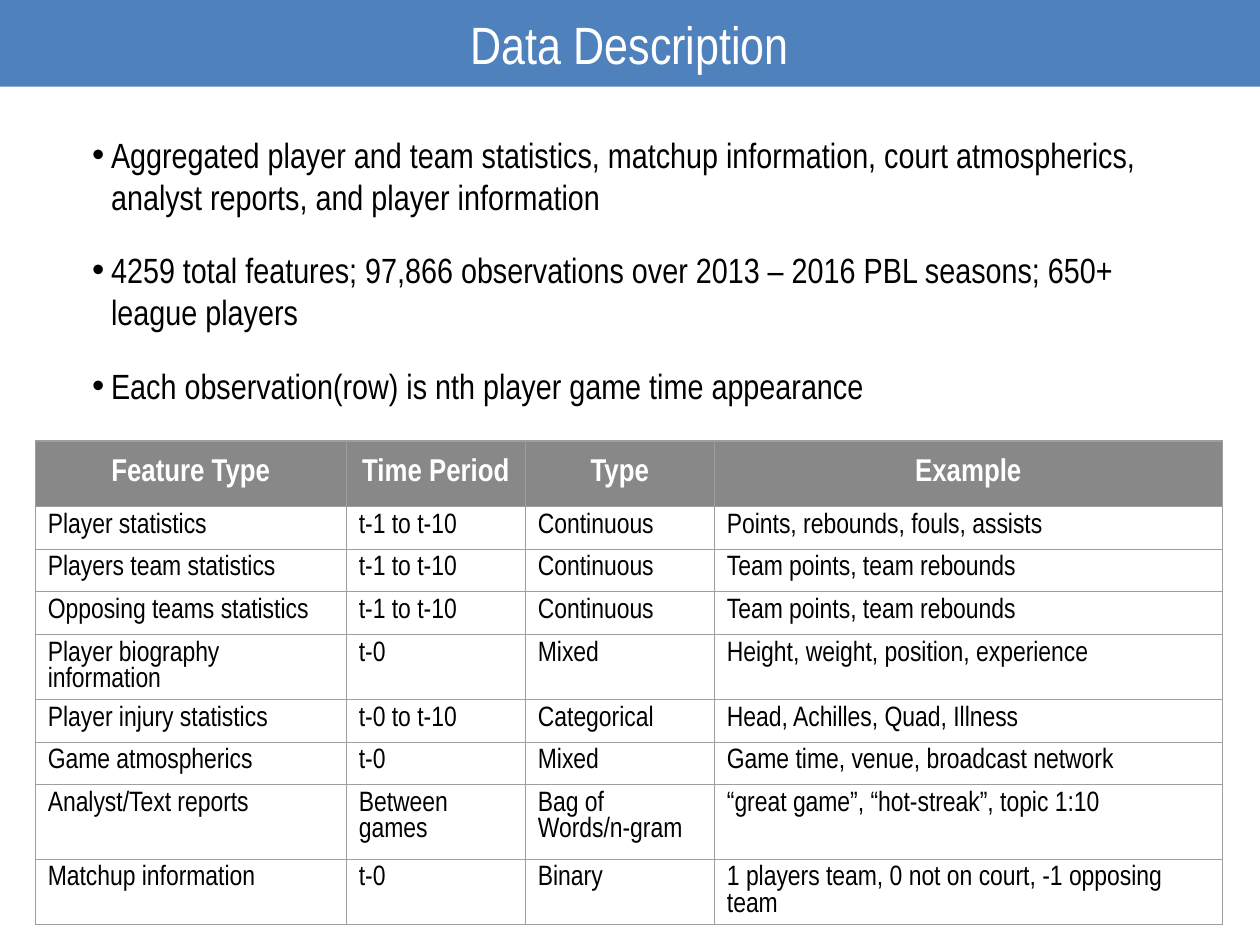
from lxml.etree import SubElement
from pptx import Presentation
from pptx.dml.color import RGBColor
from pptx.enum.shapes import MSO_SHAPE
from pptx.enum.text import MSO_ANCHOR, PP_ALIGN
from pptx.oxml.ns import qn
from pptx.util import Cm, Pt

BLUE = RGBColor(0x4F, 0x81, 0xBD)
GRAY = RGBColor(0x88, 0x88, 0x88)
BORDER = RGBColor(0x9E, 0x9E, 0x9E)
WHITE = RGBColor(0xFF, 0xFF, 0xFF)
BLACK = RGBColor(0x00, 0x00, 0x00)

BULLETS = [
    "Aggregated player and team statistics, matchup information, court atmospherics, "
    "analyst reports, and player information",
    "4259 total features; 97,866 observations over 2013 – 2016 PBL seasons; 650+ league players",
    "Each observation(row) is nth player game time appearance",
]
FEATURES = [
    ("Feature Type", "Time Period", "Type", "Example"),
    ("Player statistics", "t-1 to t-10", "Continuous", "Points, rebounds, fouls, assists"),
    ("Players team statistics", "t-1 to t-10", "Continuous", "Team points, team rebounds"),
    ("Opposing teams statistics", "t-1 to t-10", "Continuous", "Team points, team rebounds"),
    ("Player biography information", "t-0", "Mixed", "Height, weight, position, experience"),
    ("Player injury statistics", "t-0 to t-10", "Categorical", "Head, Achilles, Quad, Illness"),
    ("Game atmospherics", "t-0", "Mixed", "Game time, venue, broadcast network"),
    ("Analyst/Text reports", "Between games", "Bag of Words/n-gram",
     "“great game”, “hot-streak”, topic 1:10"),
    ("Matchup information", "t-0", "Binary", "1 players team, 0 not on court, -1 opposing team"),
]
COLUMN_WIDTHS = [6.27, 3.61, 3.81, 10.24]
ROW_HEIGHTS = [1.32] + [0.86] * 6 + [1.5, 0.86]


def write(paragraph, text, size, color, bold=False, **layout):
    """Add a run, and set paragraph attributes from the layout values."""
    for attribute, value in layout.items():
        setattr(paragraph, attribute, value)
    run = paragraph.add_run()
    run.text = text
    font = {"name": "Arial Narrow", "size": Pt(size), "bold": bold}
    for attribute, value in font.items():
        setattr(run.font, attribute, value)
    run.font.color.rgb = color


def add_text_frame(slide, left, top, width, height):
    frame = slide.shapes.add_textbox(Cm(left), Cm(top), Cm(width), Cm(height)).text_frame
    frame.word_wrap = True
    for side in ("left", "top", "right", "bottom"):
        setattr(frame, f"margin_{side}", Cm(0.25))
    return frame


presentation = Presentation()
presentation.slide_width = Cm(25.4)
presentation.slide_height = Cm(19.05)
slide = presentation.slides.add_slide(presentation.slide_layouts[6])

# Title band
band = slide.shapes.add_shape(MSO_SHAPE.RECTANGLE, 0, 0, Cm(25.4), Cm(1.75))
band.shadow.inherit = False
band.fill.solid()
band.fill.fore_color.rgb = BLUE
band.line.fill.background()

title = add_text_frame(slide, 1.27, 0, 22.86, 1.75)
title.vertical_anchor = MSO_ANCHOR.MIDDLE
write(title.paragraphs[0], "Data Description", 30, WHITE, alignment=PP_ALIGN.CENTER)

# Summary bullets
summary = add_text_frame(slide, 1.02, 2.44, 23.29, 6.02)
for index, text in enumerate(BULLETS):
    paragraph = summary.add_paragraph() if index else summary.paragraphs[0]
    properties = paragraph._p.get_or_add_pPr()
    properties.set("marL", str(Cm(0.97)))
    properties.set("indent", str(Cm(-0.38)))
    bullet_color = SubElement(properties, qn("a:buClr"))
    SubElement(bullet_color, qn("a:srgbClr"), val=str(BLACK))
    SubElement(properties, qn("a:buFont"), typeface="Arial")
    SubElement(properties, qn("a:buChar"), char="•")
    write(paragraph, text, 20, BLACK, line_spacing=Pt(24), space_after=Pt(18))

# Feature table
table = slide.shapes.add_table(
    len(FEATURES), len(COLUMN_WIDTHS), Cm(0.71), Cm(8.89),
    Cm(sum(COLUMN_WIDTHS)), Cm(sum(ROW_HEIGHTS)),
).table
table.horz_banding = False
for column, width in zip(table.columns, COLUMN_WIDTHS):
    column.width = Cm(width)
for row, height in zip(table.rows, ROW_HEIGHTS):
    row.height = Cm(height)

for row_index, features in enumerate(FEATURES):
    for column_index, text in enumerate(features):
        cell = table.cell(row_index, column_index)
        cell_properties = cell._tc.get_or_add_tcPr()
        for edge in ("a:lnL", "a:lnR", "a:lnT", "a:lnB"):
            line = SubElement(cell_properties, qn(edge), w=str(Pt(0.75)))
            line_fill = SubElement(line, qn("a:solidFill"))
            SubElement(line_fill, qn("a:srgbClr"), val=str(BORDER))
        paragraph = cell.text_frame.paragraphs[0]
        if row_index == 0:
            cell.vertical_anchor = MSO_ANCHOR.MIDDLE
            cell.fill.solid()
            cell.fill.fore_color.rgb = GRAY
            write(paragraph, text, 18, WHITE, bold=True, alignment=PP_ALIGN.CENTER)
        else:
            cell.fill.background()
            write(paragraph, text, 16, BLACK, line_spacing=Pt(15))

presentation.save("out.pptx")
